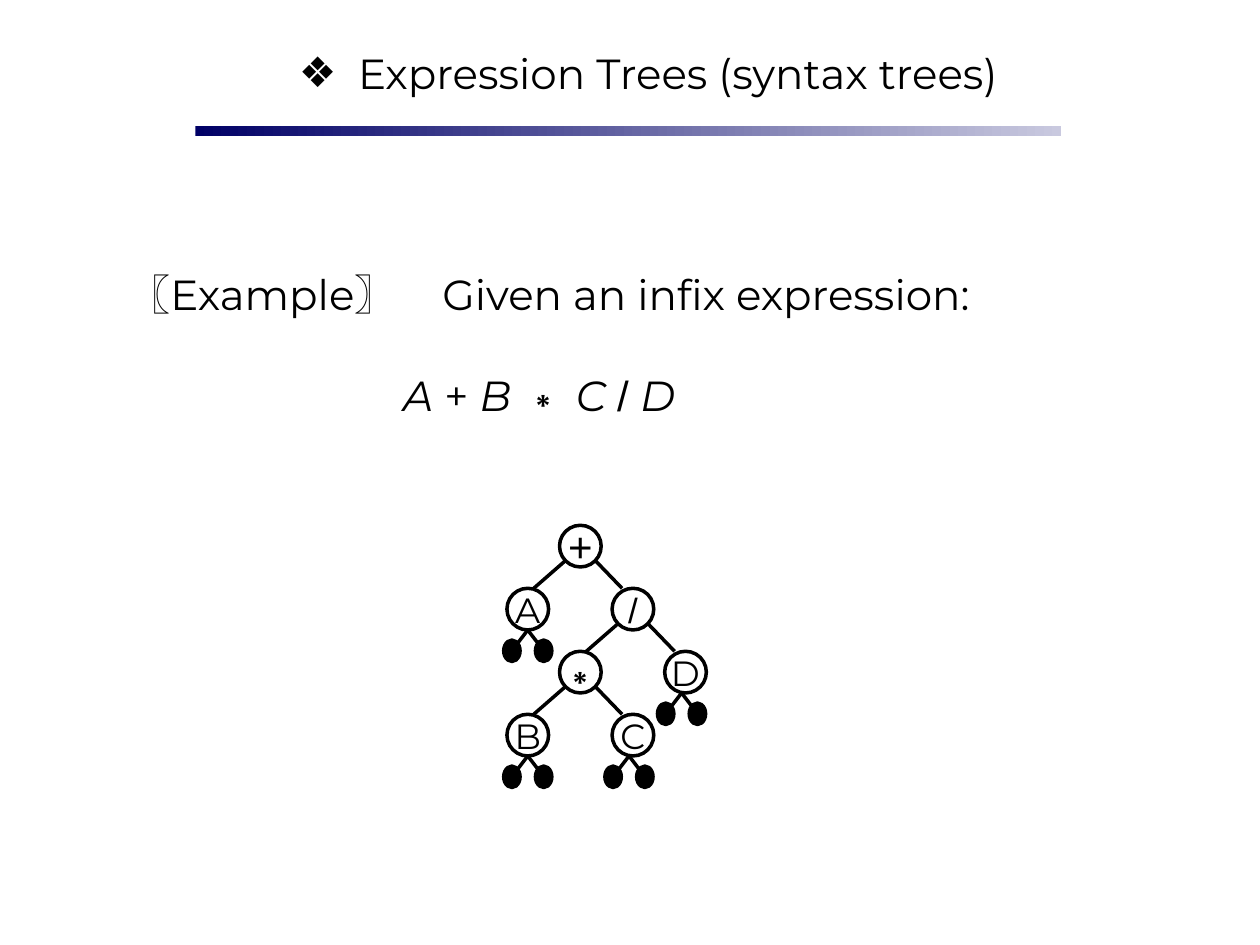
import dataclasses

import pptx
import pptx.dml.color
import pptx.enum.shapes
import pptx.enum.text
import pptx.oxml.ns
import pptx.util
from lxml import etree

Cm, Pt = pptx.util.Cm, pptx.util.Pt
SHAPE = pptx.enum.shapes.MSO_SHAPE
ALIGN = pptx.enum.text.PP_ALIGN


@dataclasses.dataclass(frozen=True)
class Theme:
    ink: str = "000000"
    rule_start: str = "000066"
    rule_end: str = "C9C9DF"
    body_font: str = "Montserrat"
    symbol_font: str = "Arial"
    text_size: int = 24
    letter_size: int = 20
    line_width: int = 2


@dataclasses.dataclass
class Node:
    label: str
    font: str
    size: int
    left: "Node | None" = None
    right: "Node | None" = None


def rgb(value):
    return pptx.dml.color.RGBColor.from_string(value)


def add_tag(parent, tag, **attributes):
    return etree.SubElement(parent, pptx.oxml.ns.qn(tag), attributes)


class SlideBuilder:
    RADIUS = 0.42
    STEP_X, STEP_Y = 1.06, 1.27
    DOT_WIDTH, DOT_HEIGHT = 0.33, 0.43

    def __init__(self, slide, theme):
        self.theme = theme
        self.slide = slide
        self.tree_shapes = None

    def rule(self, left, top, width, height):
        bar = self.slide.shapes.add_shape(
            SHAPE.RECTANGLE, Cm(left), Cm(top), Cm(width), Cm(height))
        bar.shadow.inherit = False
        bar.line.fill.background()
        bar.fill.gradient()
        bar.fill.gradient_angle = 0
        colours = (self.theme.rule_start, self.theme.rule_end)
        for position, (stop, colour) in enumerate(zip(bar.fill.gradient_stops, colours)):
            stop.position = position
            stop.color.rgb = rgb(colour)

    def text_box(self, left, top, width, height):
        box = self.slide.shapes.add_textbox(Cm(left), Cm(top), Cm(width), Cm(height))
        box.text_frame.word_wrap = True
        box.text_frame.auto_size = pptx.enum.text.MSO_AUTO_SIZE.SHAPE_TO_FIT_TEXT
        return box.text_frame

    def run(self, paragraph, text, font=None, size=None, italic=False):
        run = paragraph.add_run()
        run.text = text
        run.font.name = font or self.theme.body_font
        run.font.size = Pt(size or self.theme.text_size)
        run.font.italic = italic
        run.font.color.rgb = rgb(self.theme.ink)

    def bullet(self, paragraph, char, indent):
        properties = paragraph._p.get_or_add_pPr()
        properties.set("marL", str(Cm(indent)))
        properties.set("indent", str(-Cm(indent)))
        add_tag(properties, "a:buFont", typeface=self.theme.symbol_font)
        add_tag(properties, "a:buChar", char=char)

    def tab_stop(self, paragraph, position):
        tabs = add_tag(paragraph._p.get_or_add_pPr(), "a:tabLst")
        add_tag(tabs, "a:tab", pos=str(Cm(position)), algn="l")

    def ellipse(self, x, y, width, height, fill=None):
        """Draw an ellipse centred on x, y."""
        oval = self.tree_shapes.add_shape(
            SHAPE.OVAL, Cm(x - width / 2), Cm(y - height / 2), Cm(width), Cm(height))
        oval.shadow.inherit = False
        oval.line.color.rgb = rgb(self.theme.ink)
        oval.line.width = Pt(self.theme.line_width)
        if fill:
            oval.fill.solid()
            oval.fill.fore_color.rgb = rgb(fill)
        else:
            oval.fill.background()
        return oval

    def edge(self, x1, y1, x2, y2):
        line = self.tree_shapes.add_connector(
            pptx.enum.shapes.MSO_CONNECTOR.STRAIGHT, Cm(x1), Cm(y1), Cm(x2), Cm(y2))
        line.line.color.rgb = rgb(self.theme.ink)
        line.line.width = Pt(self.theme.line_width)
        add_tag(line._element.spPr, "a:effectLst")

    def empty_children(self, x, y):
        """Hang two black dots below the point x, y."""
        for side in (-1, 1):
            self.edge(x, y, x + side * self.DOT_WIDTH, y + self.DOT_HEIGHT)
        for side in (-1, 1):
            self.ellipse(x + side * 0.32, y + 0.42,
                         self.DOT_WIDTH, self.DOT_HEIGHT, self.theme.ink)

    def node(self, node, x, y, leaf_shift=0):
        """Draw a node and everything below it."""
        circle = self.ellipse(x, y, 2 * self.RADIUS, 2 * self.RADIUS)
        frame = circle.text_frame
        frame.word_wrap = False
        frame.vertical_anchor = pptx.enum.text.MSO_ANCHOR.MIDDLE
        frame.paragraphs[0].alignment = ALIGN.CENTER
        self.run(frame.paragraphs[0], node.label, node.font, node.size)
        if node.left is None:
            self.empty_children(x + leaf_shift, y + self.RADIUS)
            return
        branches = ((node.left, -1, 0.12, 0), (node.right, 1, -0.22, -0.08))
        for child, side, end_shift, child_leaf_shift in branches:
            child_x, child_y = x + side * self.STEP_X, y + self.STEP_Y
            self.edge(x + side * 0.31, y + 0.3, child_x + end_shift, child_y - self.RADIUS)
            self.node(child, child_x, child_y, child_leaf_shift)

    def tree(self, root, x, y):
        self.tree_shapes = self.slide.shapes.add_group_shape().shapes
        self.node(root, x, y)


def main():
    theme = Theme()
    deck = pptx.Presentation()
    deck.slide_width, deck.slide_height = Cm(25.4), Cm(19.05)
    builder = SlideBuilder(deck.slides.add_slide(deck.slide_layouts[6]), theme)

    builder.rule(3.94, 2.54, 17.45, 0.2)

    title = builder.text_box(4.11, 0.84, 17.91, 1.27).paragraphs[0]
    title.alignment = ALIGN.CENTER
    builder.bullet(title, "❖", 1.19)
    builder.run(title, "Expression Trees (syntax trees)")

    example = builder.text_box(2.34, 5.28, 20.96, 3.3)
    prompt = example.paragraphs[0]
    builder.tab_stop(prompt, 6.33)
    builder.run(prompt, "〖Example〗\tGiven an infix expression:")

    expression = example.add_paragraph()
    expression.space_before = Pt(29)
    expression._p.get_or_add_pPr().set("marL", str(Cm(5.54)))
    for text, font, italic in (
        ("A ", theme.body_font, True),
        ("+ ", theme.body_font, False),
        ("B ", theme.body_font, True),
        ("∗ ", theme.symbol_font, False),
        ("C ", theme.body_font, True),
        ("/ ", theme.symbol_font, False),
        ("D", theme.body_font, True),
    ):
        builder.run(expression, text, font, italic=italic)

    a, b, c, d = (Node(letter, theme.body_font, theme.letter_size) for letter in "ABCD")
    product = Node("∗", theme.symbol_font, theme.text_size, b, c)
    quotient = Node("/", theme.symbol_font, theme.letter_size, product, d)
    total = Node("+", theme.symbol_font, theme.text_size, a, quotient)
    builder.tree(total, 11.7, 11.01)

    deck.save("out.pptx")


if __name__ == "__main__":
    main()
